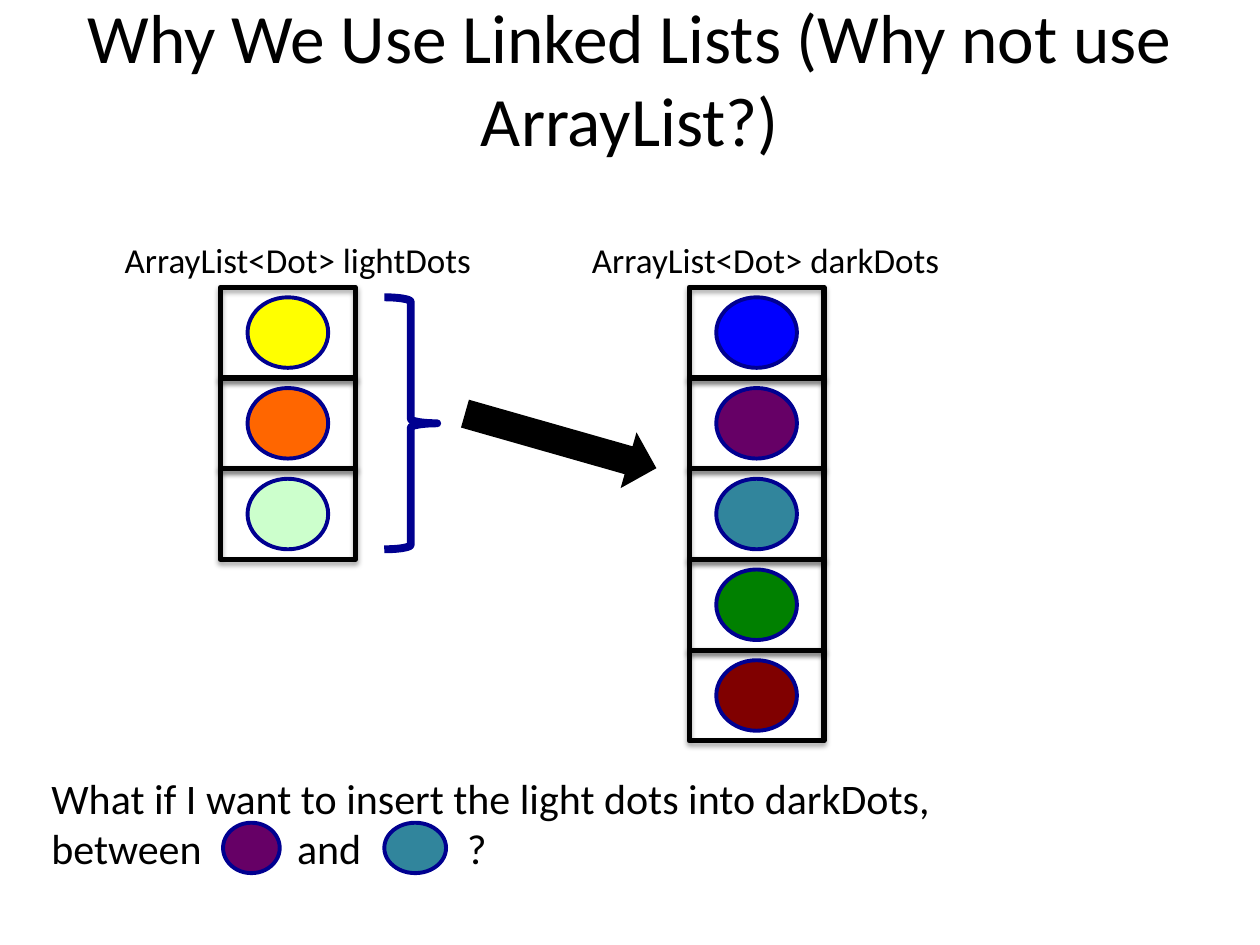
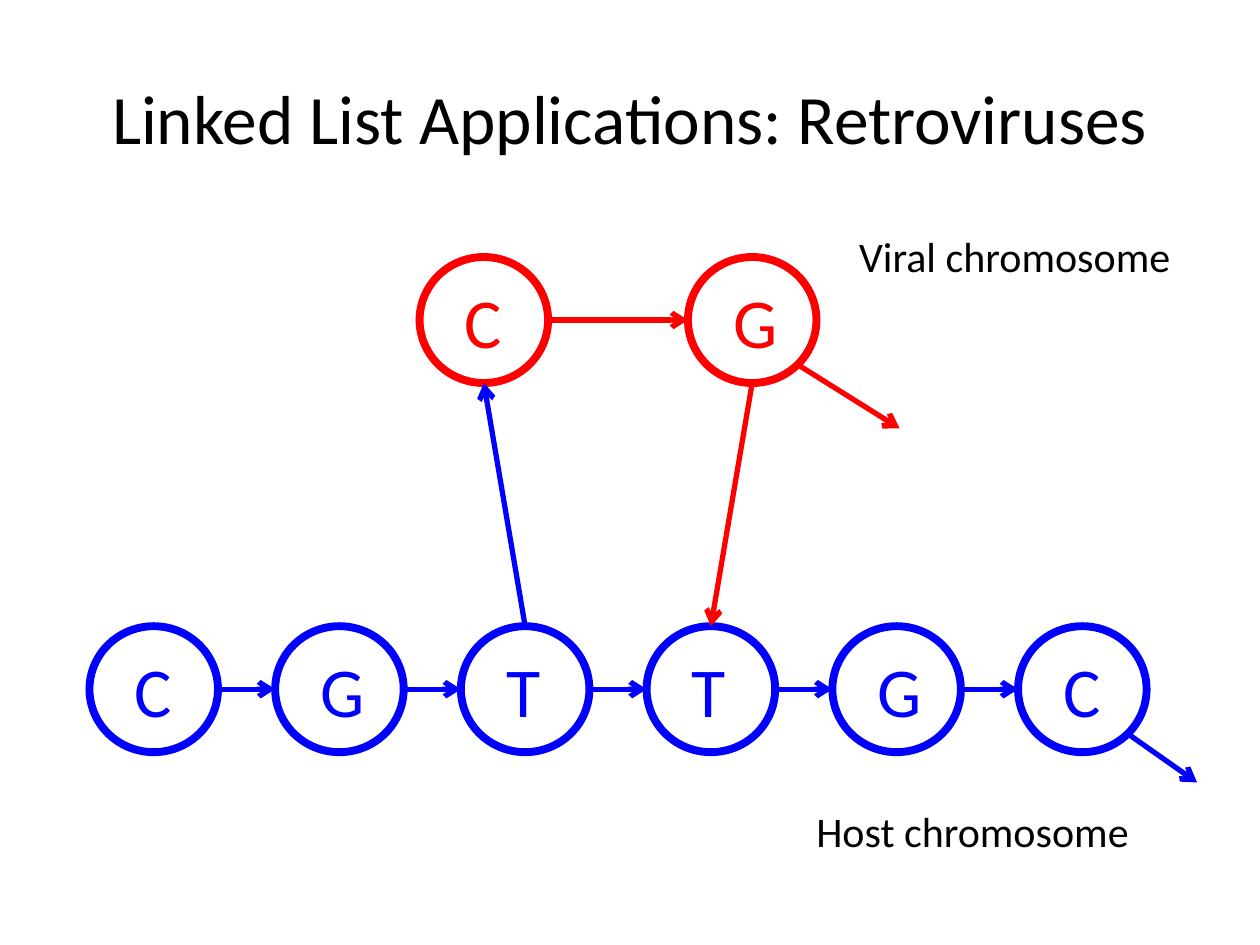
import math
from dataclasses import dataclass

import lxml.etree
import pptx
import pptx.dml.color
import pptx.enum.shapes
import pptx.enum.text
import pptx.oxml
import pptx.oxml.ns
import pptx.util

Inches = pptx.util.Inches
Pt = pptx.util.Pt
Shape = pptx.enum.shapes.MSO_SHAPE

# Shared style
FONT = "Calibri"
BLACK, WHITE, NAVY = "000000", "FFFFFF", "000090"
BLUE, RED, PURPLE, TEAL = "0000FF", "FF0000", "660066", "31859C"
TITLE_SIZE = 39.6

# Array cells and the dots inside them
CELL_WIDTH, CELL_HEIGHT, CELL_TOP = 1.07, 0.72, 2.28
DOT_WIDTH, DOT_HEIGHT = 0.64, 0.56

# Nodes of the chromosomes
NODE_WIDTH, NODE_HEIGHT = 1.02, 1.0
LETTER_WIDTHS = {"C": 0.5, "G": 0.56, "T": 0.48}


@dataclass
class DotArray:
    label: str
    label_left: float
    label_width: float
    left: float
    colors: list[str]


@dataclass
class Node:
    letter: str
    left: float
    top: float
    color: str

    def edge(self, degrees: float) -> tuple[float, float]:
        """Point on the outline, clockwise from the right-hand side."""
        angle = math.radians(degrees)
        return (self.left + NODE_WIDTH / 2 * (1 + math.cos(angle)),
                self.top + NODE_HEIGHT / 2 * (1 + math.sin(angle)))


def rgb(color: str) -> pptx.dml.color.RGBColor:
    return pptx.dml.color.RGBColor.from_string(color)


def add_text(page, text: str, left: float, top: float, width: float, height: float, *,
             size: float = 24, color: str = BLACK, wrap: bool = False,
             centered: bool = False, tabs: tuple[float, ...] = ()):
    """Add a text box with one paragraph for each line of text."""
    box = page.shapes.add_textbox(Inches(left), Inches(top), Inches(width), Inches(height))
    frame = box.text_frame
    frame.word_wrap = wrap
    if centered:
        frame.vertical_anchor = pptx.enum.text.MSO_ANCHOR.MIDDLE
    for index, line in enumerate(text.split("\n")):
        para = frame.paragraphs[0] if index == 0 else frame.add_paragraph()
        if tabs:
            properties = para._p.get_or_add_pPr()
            tab_list = lxml.etree.SubElement(properties, pptx.oxml.ns.qn("a:tabLst"))
            for position in tabs:
                lxml.etree.SubElement(tab_list, pptx.oxml.ns.qn("a:tab"),
                                      pos=str(Inches(position)), algn="l")
        if centered:
            para.alignment = pptx.enum.text.PP_ALIGN.CENTER
        span = para.add_run()
        span.text = line
        span.font.name = FONT
        span.font.size = Pt(size)
        span.font.color.rgb = rgb(color)
    return box


def add_title(page, text: str, top: float, height: float) -> None:
    add_text(page, text, 0.5, top, 9, height, size=TITLE_SIZE, wrap=True, centered=True)


def add_figure(page, kind, left: float, top: float, width: float, height: float, *,
               fill: str | None = None, line: str | None = None, weight: float = 2.25):
    figure = page.shapes.add_shape(kind, Inches(left), Inches(top),
                                   Inches(width), Inches(height))
    figure.shadow.inherit = False
    if fill:
        figure.fill.solid()
        figure.fill.fore_color.rgb = rgb(fill)
    else:
        figure.fill.background()
    if line:
        figure.line.color.rgb = rgb(line)
        figure.line.width = Pt(weight)
    else:
        figure.line.fill.background()
    return figure


def add_soft_shadow(figure) -> None:
    effects = figure._element.spPr.find(pptx.oxml.ns.qn("a:effectLst"))
    effects.append(pptx.oxml.parse_xml(
        f'<a:outerShdw {pptx.oxml.ns.nsdecls("a")} blurRad="{Pt(3.1)}" dist="{Pt(1.8)}" '
        f'dir="5400000" rotWithShape="0"><a:srgbClr val="{BLACK}">'
        '<a:alpha val="35000"/></a:srgbClr></a:outerShdw>'))


def add_arrow(page, start: tuple[float, float], end: tuple[float, float], color: str) -> None:
    arrow = page.shapes.add_connector(pptx.enum.shapes.MSO_CONNECTOR.STRAIGHT,
                                      *map(Inches, start + end))
    arrow.line.color.rgb = rgb(color)
    arrow.line.width = Pt(3)
    lxml.etree.SubElement(arrow.line._get_or_add_ln(),
                          pptx.oxml.ns.qn("a:tailEnd"), type="arrow")
    lxml.etree.SubElement(arrow._element.spPr, pptx.oxml.ns.qn("a:effectLst"))


def add_dot(page, color: str, left: float, top: float,
            width: float = DOT_WIDTH, height: float = DOT_HEIGHT) -> None:
    add_figure(page, Shape.OVAL, left, top, width, height, fill=color, line=NAVY)


def add_dot_array(page, array: DotArray) -> None:
    for index, color in enumerate(array.colors):
        top = CELL_TOP + index * CELL_HEIGHT
        add_dot(page, color, array.left + (CELL_WIDTH - DOT_WIDTH) / 2,
                top + (CELL_HEIGHT - DOT_HEIGHT) / 2)
        cell = add_figure(page, Shape.RECTANGLE, array.left, top, CELL_WIDTH, CELL_HEIGHT,
                          line=BLACK, weight=3)
        add_soft_shadow(cell)
    add_text(page, array.label, array.label_left, 1.84, array.label_width, 0.44, size=20)


def add_node(page, node: Node) -> None:
    add_figure(page, Shape.OVAL, node.left, node.top, NODE_WIDTH, NODE_HEIGHT,
               fill=WHITE, line=node.color, weight=4.5)
    add_text(page, node.letter, node.left + 0.26, node.top + 0.12,
             LETTER_WIDTHS[node.letter], 0.77, size=40, color=node.color)


def add_chain(page, letters: str, left: float, top: float, pitch: float,
              color: str) -> list[Node]:
    """Draw a row of nodes, each pointing at the next."""
    nodes = [Node(letter, left + index * pitch, top, color)
             for index, letter in enumerate(letters)]
    for node in nodes:
        add_node(page, node)
    for node, following in zip(nodes, nodes[1:]):
        add_arrow(page, node.edge(0), following.edge(180), color)
    return nodes


def build_array_page(page) -> None:
    add_title(page, "Why We Use Linked Lists (Why not use ArrayList?)", 0.12, 0.99)
    for array in (
        DotArray("ArrayList<Dot> lightDots", 0.89, 2.99, 1.75,
                 ["FFFF00", "FF6600", "CCFFCC"]),
        DotArray("ArrayList<Dot> darkDots", 4.6, 3, 5.47,
                 [BLUE, PURPLE, TEAL, "008000", "800000"]),
    ):
        add_dot_array(page, array)

    # Brace and arrow showing the insertion
    arrow = add_figure(page, Shape.RIGHT_ARROW, 3.66, 3.27, 1.58, 0.46, fill=BLACK)
    arrow.rotation = 15.9
    add_figure(page, Shape.RIGHT_BRACE, 3.05, 2.36, 0.42, 2, line=NAVY, weight=4.5)

    # Question with dots in the gaps of its second line
    add_text(page, "What if I want to insert the light dots into darkDots,\n"
             "between\tand\t?", 0.31, 6.08, 7.27, 0.91, tabs=(1.95, 3.3))
    add_dot(page, PURPLE, 1.77, 6.53, 0.45, 0.4)
    add_dot(page, TEAL, 3.05, 6.53, 0.49, 0.4)


def build_retrovirus_page(page) -> None:
    add_title(page, "Linked List Applications: Retroviruses", 0.3, 1.25)
    host = add_chain(page, "CGTTGC", 0.71, 4.97, (8.08 - 0.71) / 5, BLUE)
    viral = add_chain(page, "CG", 3.33, 2.04, 2.13, RED)

    # Loose ends, then the links that splice the virus into the host
    add_arrow(page, host[-1].edge(45), (9.5, 6.21), BLUE)
    add_arrow(page, viral[-1].edge(45), (7.14, 3.4), RED)
    add_arrow(page, host[2].edge(270), viral[0].edge(90), BLUE)
    add_arrow(page, viral[-1].edge(90), host[3].edge(270), RED)

    add_text(page, "Host chromosome", 6.38, 6.34, 2.72, 0.5)
    add_text(page, "Viral chromosome", 6.72, 1.78, 2.71, 0.5)


def main() -> None:
    deck = pptx.Presentation()
    deck.slide_width, deck.slide_height = Inches(10), Inches(7.5)
    for build in (build_array_page, build_retrovirus_page):
        build(deck.slides.add_slide(deck.slide_layouts[6]))
    deck.save("out.pptx")


if __name__ == "__main__":
    main()
